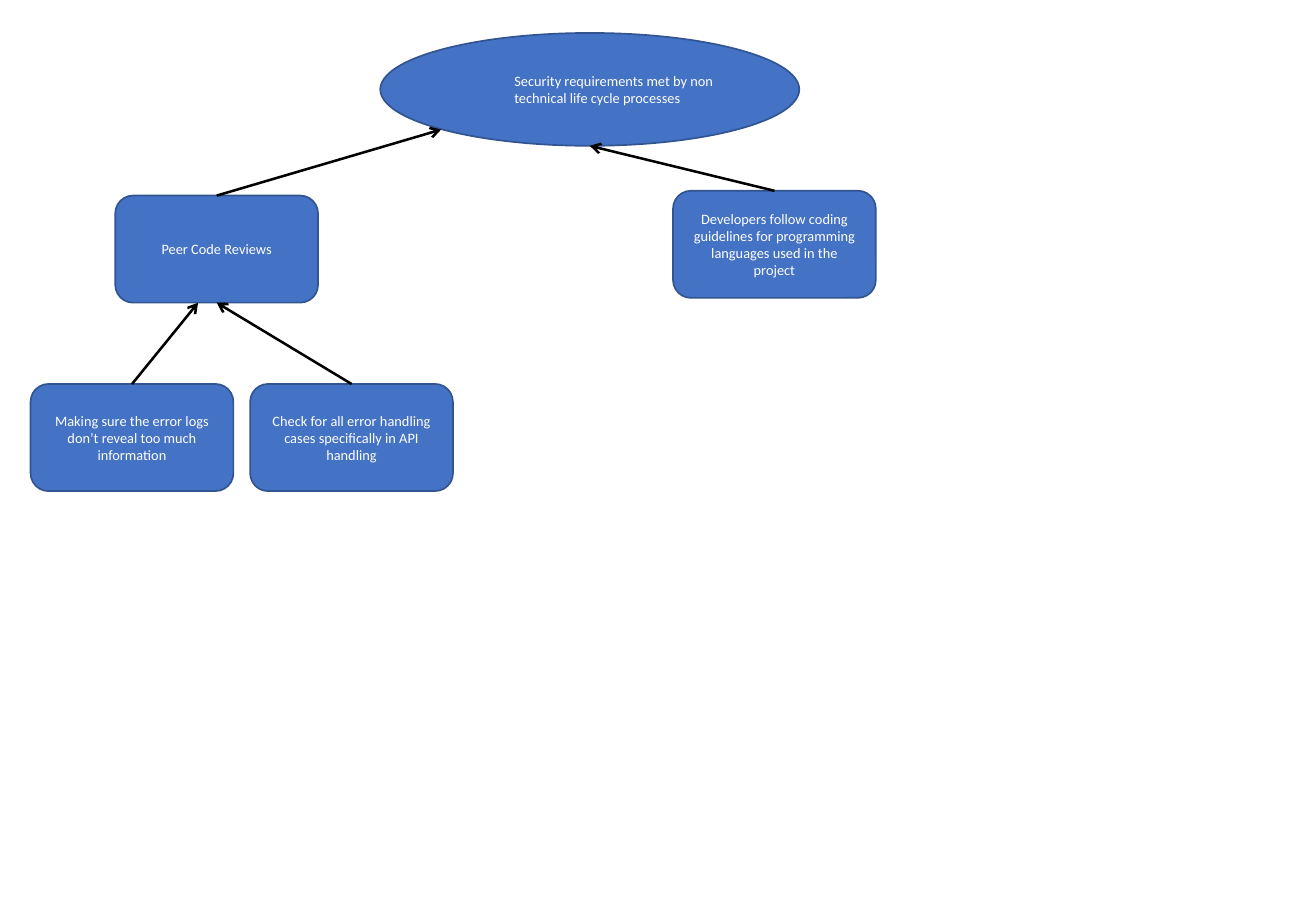
from pptx import Presentation
from pptx.dml.color import RGBColor
from pptx.enum.shapes import MSO_CONNECTOR, MSO_SHAPE
from pptx.enum.text import MSO_ANCHOR, PP_ALIGN
from pptx.oxml.ns import qn
from pptx.util import Cm, Pt
from lxml.etree import SubElement


def color(code):
    return RGBColor.from_string(code)


class Chart:
    """Draws styled nodes and arrows on one slide."""

    font, size = "Calibri", 8.5
    fill, edge, ink, link = "4472C4", "325491", "FFFFFF", "000000"
    wide, high = 4.24, 2.24

    def __init__(self, slide):
        self.slide = slide

    def node(self, kind, left, top, wide, high, text):
        shape = self.slide.shapes.add_shape(kind, Cm(left), Cm(top), Cm(wide), Cm(high))
        shape.shadow.inherit = False
        shape.fill.solid()
        shape.fill.fore_color.rgb = color(self.fill)
        shape.line.color.rgb = color(self.edge)
        shape.line.width = Pt(1)
        frame = shape.text_frame
        frame.word_wrap = True
        frame.vertical_anchor = MSO_ANCHOR.MIDDLE
        para = frame.paragraphs[0]
        para.alignment = PP_ALIGN.CENTER
        run = para.add_run()
        run.text = text
        run.font.name = self.font
        run.font.size = Pt(self.size)
        run.font.color.rgb = color(self.ink)
        return shape

    def goal(self, left, top, wide, high, text):
        shape = self.node(MSO_SHAPE.OVAL, left, top, wide, high, text)
        para = shape.text_frame.paragraphs[0]
        para.alignment = PP_ALIGN.LEFT
        para.level = 1
        props = para._p.get_or_add_pPr()
        props.set("marL", str(Cm(1.27)))
        props.set("indent", "0")
        return shape

    def box(self, left, top, text):
        return self.node(MSO_SHAPE.ROUNDED_RECTANGLE, left, top, self.wide, self.high, text)

    def arrow(self, start, x, y, end=None):
        line = self.slide.shapes.add_connector(
            MSO_CONNECTOR.STRAIGHT, start.left + start.width // 2, start.top, Cm(x), Cm(y))
        line.begin_connect(start, 0)
        if end is not None:
            line.end_connect(end, 2)
        line.line.color.rgb = color(self.link)
        line.line.width = Pt(1.5)
        SubElement(line.line._get_or_add_ln(), qn("a:tailEnd"), type="arrow")
        SubElement(line._element.spPr, qn("a:effectLst"))


def main():
    deck = Presentation()
    deck.slide_width, deck.slide_height = Cm(27.51), Cm(19.05)
    chart = Chart(deck.slides.add_slide(deck.slide_layouts[6]))
    chart.goal(7.95, 0.69, 8.76, 2.36,
               "Security requirements met by non technical life cycle processes")
    peer = chart.box(2.41, 4.09, "Peer Code Reviews")
    guide = chart.box(
        14.07, 3.99,
        "Developers follow coding guidelines for programming languages used in the project")
    check = chart.box(
        5.23, 8.03, "Check for all error handling cases specifically in API handling")
    logs = chart.box(
        0.64, 8.03, "Making sure the error logs don’t reveal too much information")
    chart.arrow(peer, 9.22, 2.71)
    chart.arrow(check, 4.53, 6.33, peer)
    chart.arrow(guide, 12.33, 3.05)
    chart.arrow(logs, 4.14, 6.33)
    deck.save("out.pptx")


if __name__ == "__main__":
    main()
